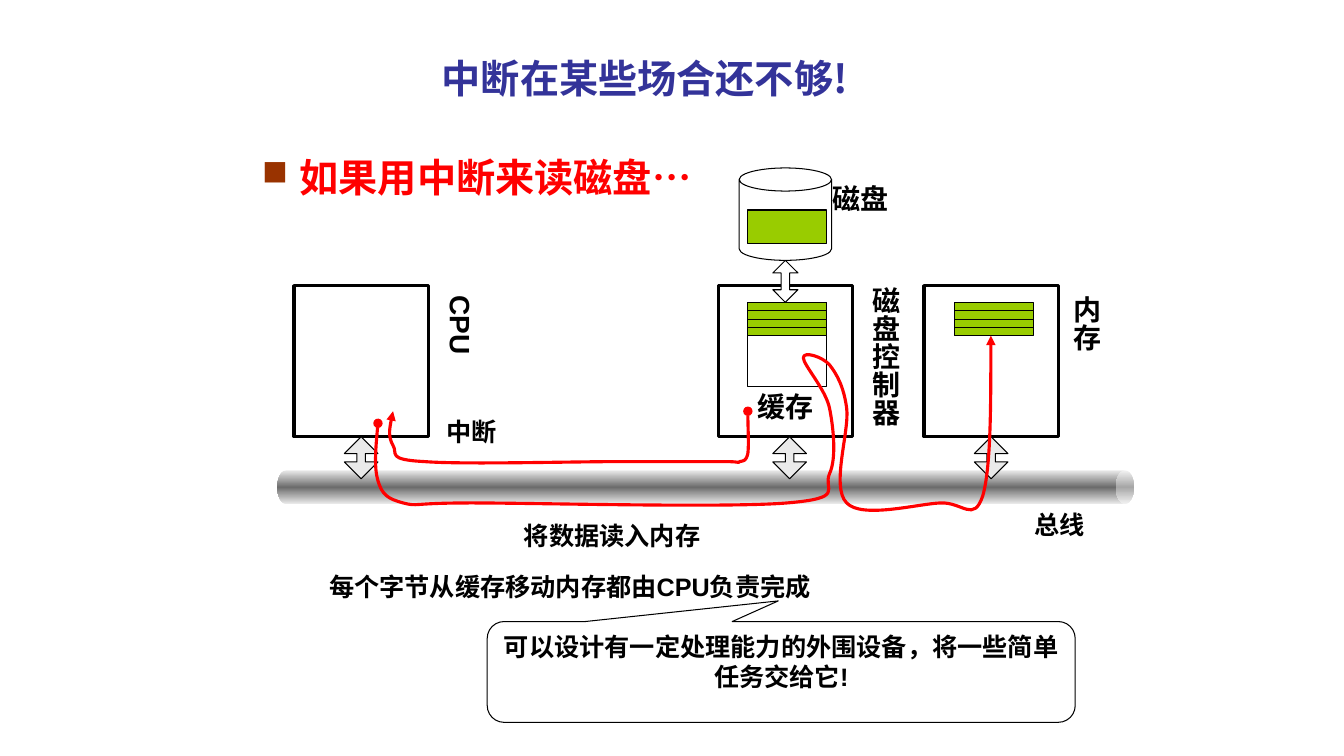
"""Build the slide on why interrupts alone are too costly for disk reads."""
from copy import deepcopy
from dataclasses import dataclass

from lxml.etree import SubElement
from pptx import Presentation
from pptx.dml.color import RGBColor
from pptx.enum.lang import MSO_LANGUAGE_ID
from pptx.enum.shapes import MSO_SHAPE
from pptx.enum.text import MSO_ANCHOR, MSO_AUTO_SIZE, PP_ALIGN
from pptx.oxml.ns import qn
from pptx.util import Pt


@dataclass(frozen=True)
class Theme:
    ink: str = "000000"
    paper: str = "FFFFFF"
    title: str = "333399"
    signal: str = "FF0000"
    bullet: str = "993300"
    data: str = "99CC00"
    metal: str = "EAEAEA"
    steel: str = "6C6C6C"
    latin: str = "Arial"
    asian: str = "Noto Sans CJK SC"
    heading: int = 28
    label: int = 20
    note: int = 18
    thin: float = 0.75
    thick: float = 2.25


THEME = Theme()
CELL = Pt(6)
HUNDREDTH = 9144

deck = Presentation()
deck.slide_width, deck.slide_height = 160 * CELL, 90 * CELL
page = deck.slides.add_slide(deck.slide_layouts[5])


def draw(kind, cells, fill, width=THEME.thin, adjustments=()):
    """Add an outlined preset shape placed in grid cells."""
    shape = page.shapes.add_shape(kind, *(round(cell * CELL) for cell in cells))
    shape.shadow.inherit = False
    shape.fill.solid()
    shape.fill.fore_color.rgb = RGBColor.from_string(fill)
    shape.line.color.rgb = RGBColor.from_string(THEME.ink)
    shape.line.width = Pt(width)
    for index, value in enumerate(adjustments):
        shape.adjustments[index] = value
    return shape


def write(box, text, size, color=THEME.ink, align=PP_ALIGN.LEFT, latin=THEME.latin):
    """Fill a box with one bold paragraph and return the paragraph."""
    frame = box.text_frame
    frame.text = text
    frame.word_wrap = True
    para = frame.paragraphs[0]
    para.alignment = align
    span = para.runs[0]
    span.font.name = latin
    span.font.size = Pt(size)
    span.font.bold = True
    span.font.color.rgb = RGBColor.from_string(color)
    span.font.language_id = MSO_LANGUAGE_ID.SIMPLIFIED_CHINESE
    SubElement(span.font._element, qn("a:ea"), typeface=THEME.asian)
    return para


title = page.shapes.title
title.left, title.top, title.width, title.height = (
    round(cell * CELL) for cell in (51.4, 5.3, 51.2, 7.4))
para = write(title, "中断在某些场合还不够!", THEME.heading, THEME.title, latin=THEME.asian)
para.line_spacing = 1.1
title.text_frame.vertical_anchor = MSO_ANCHOR.MIDDLE
title.text_frame.auto_size = MSO_AUTO_SIZE.NONE

for unit_left in (35, 85.5, 110):
    draw(MSO_SHAPE.RECTANGLE, (unit_left, 34, 16, 18), THEME.paper, THEME.thick)
draw(MSO_SHAPE.CAN, (88, 20, 11, 11), THEME.paper, adjustments=(0.25,))
draw(MSO_SHAPE.RECTANGLE, (89, 36, 9.4, 10), THEME.paper)

bus = draw(MSO_SHAPE.CAN, (82, 7, 4, 102), THEME.metal, adjustments=(0.541,))
bus.rotation = 90
bus.line.fill.background()
bus.fill.gradient()
bus.fill.gradient_angle = 0
first_stop = bus.fill.gradient_stops[0]._element
first_stop.addnext(deepcopy(first_stop))
for stop, position, color in zip(bus.fill.gradient_stops, (0, 0.5, 1),
                                 (THEME.metal, THEME.steel, THEME.metal)):
    stop.position = position
    stop.color.rgb = RGBColor.from_string(color)

for arrow_left in (41, 92, 116):
    draw(MSO_SHAPE.UP_DOWN_ARROW, (arrow_left, 52, 4, 5), THEME.metal, adjustments=(0.5, 0.25))
draw(MSO_SHAPE.UP_DOWN_ARROW, (92, 31, 3, 5), THEME.paper, adjustments=(0.5, 0.333))

draw(MSO_SHAPE.RECTANGLE, (89, 25, 9.4, 4), THEME.data)
for strip_left in (89, 113.6):
    for row in range(4):
        draw(MSO_SHAPE.RECTANGLE, (strip_left, 36 + row, 9.4, 1), THEME.data)

interrupt_route = [
    (742, 408), (742, 425), (743, 442), (742, 450), (740, 458), (738, 457), (734, 458),
    (730, 460), (738, 458), (718, 458), (699, 458), (666, 458), (617, 458),
    (567, 458), (459, 461), (421, 458), (383, 456), (395, 450), (390, 442),
    (385, 433), (387, 421), (390, 408)]
data_route = [
    (375, 420), (373, 442), (371, 464), (375, 477), (379, 491), (385, 495), (400, 499),
    (416, 503), (405, 499), (468, 499), (531, 499), (721, 504), (781, 499),
    (840, 494), (816, 486), (823, 470), (830, 455), (827, 425), (823, 405),
    (819, 386), (797, 362), (797, 355), (797, 348), (816, 354), (823, 362),
    (830, 371), (837, 383), (840, 405), (843, 428), (824, 483), (840, 499),
    (855, 515), (910, 500), (933, 499), (955, 498), (966, 519), (975, 492),
    (983, 464), (983, 399), (983, 333)]
for route in (interrupt_route, data_route):
    builder = page.shapes.build_freeform(*route[0], scale=HUNDREDTH)
    builder.add_line_segments(route[1:], close=False)
    curve = builder.convert_to_shape()
    curve.shadow.inherit = False
    curve.fill.background()
    curve.line.color.rgb = RGBColor.from_string(THEME.signal)
    curve.line.width = Pt(THEME.thick)
    outline = curve.element.spPr.find(qn("a:ln"))
    SubElement(outline, qn("a:headEnd"), type="oval")
    SubElement(outline, qn("a:tailEnd"), type="triangle")
    segments = list(curve.element.iter(qn("a:lnTo")))
    for start in range(0, len(segments), 3):
        bend, *others = segments[start:start + 3]
        bend.tag = qn("a:cubicBezTo")
        for other in others:
            bend.append(other[0])
            other.getparent().remove(other)

labels = [
    ("磁盘", (97, 21, 11, 5.2), THEME.label, PP_ALIGN.CENTER, False),
    ("缓存", (89, 45.8, 11, 5.2), THEME.label, PP_ALIGN.LEFT, False),
    ("磁盘控制器", (101.5, 33, 6.5, 21), THEME.label, PP_ALIGN.LEFT, True),
    ("内存", (125.5, 34, 6.5, 21), THEME.label, PP_ALIGN.LEFT, True),
    ("CPU", (51, 34, 6.5, 21), THEME.label, PP_ALIGN.LEFT, True),
    ("总线", (122, 60, 16, 4.8), THEME.note, PP_ALIGN.LEFT, False),
    ("中断", (52, 49, 17, 4.8), THEME.note, PP_ALIGN.LEFT, False),
    ("将数据读入内存", (61.2, 61.4, 41.5, 4.8), THEME.note, PP_ALIGN.LEFT, False),
]
for text, cells, size, align, vertical in labels:
    box = page.shapes.add_textbox(*(round(cell * CELL) for cell in cells))
    write(box, text, size, align=align)
    if vertical:
        box.text_frame._txBody.bodyPr.set("vert", "eaVert")

box = page.shapes.add_textbox(30 * CELL, 16 * CELL, 106 * CELL, round(11.4 * CELL))
para = write(box, "如果用中断来读磁盘…", THEME.heading, THEME.signal)
properties = para._p.get_or_add_pPr()
properties.set("marL", str(Pt(27)))
properties.set("indent", str(-Pt(27)))
bullet_color = SubElement(properties, qn("a:buClr"))
SubElement(bullet_color, qn("a:srgbClr"), val=THEME.bullet)
SubElement(properties, qn("a:buSzPct"), val="90000")
SubElement(properties, qn("a:buChar"), char="■")
para.line_spacing = 1.3

box = page.shapes.add_textbox(32 * CELL, 66 * CELL, 96 * CELL, round(6.2 * CELL))
para = write(box, "每个字节从缓存移动内存都由CPU负责完成", THEME.note)
para._p.get_or_add_pPr().set("marL", str(Pt(36)))
para.line_spacing = 1.4

callout = draw(MSO_SHAPE.ROUNDED_RECTANGULAR_CALLOUT, (58, 74, 70, 12), THEME.paper,
               adjustments=(-0.005, -0.705, 0.167))
write(callout, "可以设计有一定处理能力的外围设备，将一些简单任务交给它!", THEME.note,
      align=PP_ALIGN.CENTER)
callout.text_frame.vertical_anchor = MSO_ANCHOR.TOP

deck.save("out.pptx")
